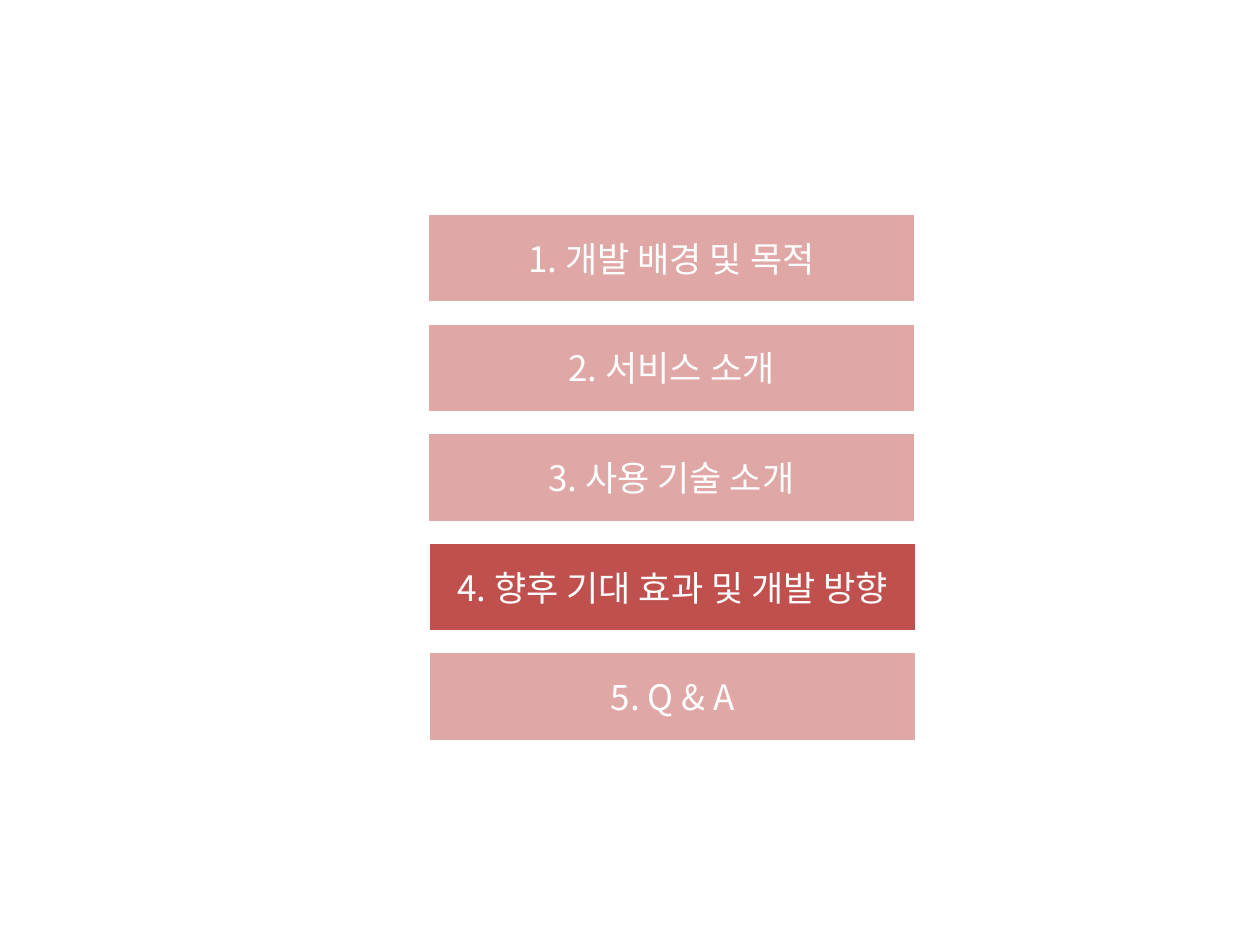
from dataclasses import dataclass

from lxml.etree import SubElement
from pptx import Presentation
from pptx.dml.color import RGBColor
from pptx.enum.shapes import MSO_SHAPE
from pptx.enum.text import MSO_ANCHOR, PP_ALIGN
from pptx.oxml.ns import qn
from pptx.slide import Slide
from pptx.util import Inches, Pt

RED = RGBColor(0xC0, 0x50, 0x4D)
WHITE = RGBColor(0xFF, 0xFF, 0xFF)
FACE = "Noto Sans CJK KR"
LEFT, TOP = 3.4, 1.7
WIDTH, HEIGHT = 3.86, 0.7
PITCH = 0.87


@dataclass
class Bar:
    text: str
    shift: float = 0
    active: bool = False


BARS = [
    Bar("1. 개발 배경 및 목적"),
    Bar("2. 서비스 소개"),
    Bar("3. 사용 기술 소개"),
    Bar("4. 향후 기대 효과 및 개발 방향", shift=0.01, active=True),
    Bar("5. Q & A", shift=0.01),
]


def draw_bar(slide: Slide, row: int, bar: Bar) -> None:
    shape = slide.shapes.add_shape(
        MSO_SHAPE.RECTANGLE,
        Inches(LEFT + bar.shift),
        Inches(TOP + row * PITCH),
        Inches(WIDTH),
        Inches(HEIGHT),
    )
    shape.shadow.inherit = False
    shape.fill.solid()
    shape.fill.fore_color.rgb = RED
    if not bar.active:
        color = shape.element.spPr.find(qn("a:solidFill"))[0]
        SubElement(color, qn("a:alpha"), val="50000")
    shape.line.color.rgb = WHITE
    shape.line.width = Pt(1)

    frame = shape.text_frame
    frame.word_wrap = True
    frame.vertical_anchor = MSO_ANCHOR.MIDDLE
    para = frame.paragraphs[0]
    para.text = bar.text
    para.alignment = PP_ALIGN.CENTER
    para.font.size = Pt(20)
    para.font.name = FACE
    para.font.color.rgb = WHITE
    for props in shape.element.iter(qn("a:defRPr")):
        SubElement(props, qn("a:ea"), typeface=FACE)


def main() -> None:
    deck = Presentation()
    deck.slide_width = Inches(10)
    deck.slide_height = Inches(7.5)
    slide = deck.slides.add_slide(deck.slide_layouts[6])
    for row, bar in enumerate(BARS):
        draw_bar(slide, row, bar)
    deck.save("out.pptx")


if __name__ == "__main__":
    main()
